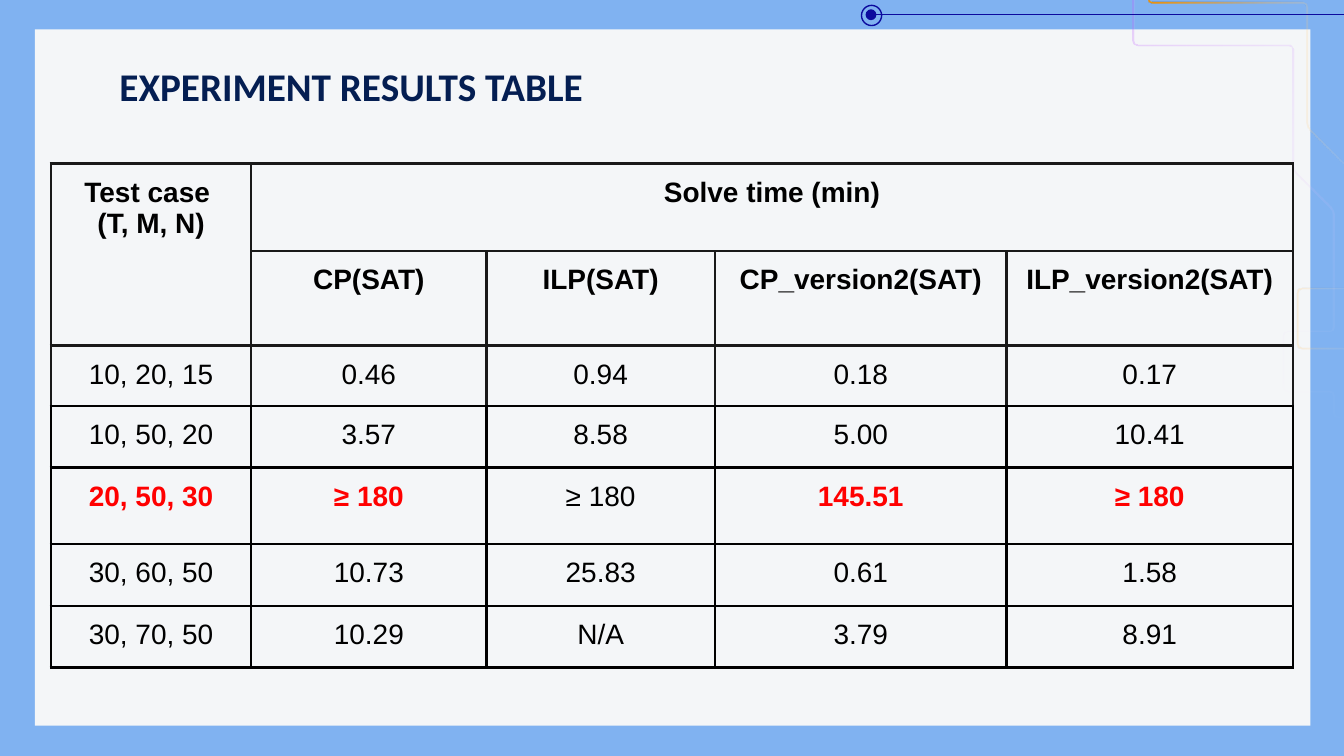
import math
from dataclasses import dataclass

from lxml import etree
from pptx import Presentation
from pptx.dml.color import RGBColor
from pptx.enum.shapes import MSO_CONNECTOR, MSO_SHAPE
from pptx.enum.text import MSO_ANCHOR, PP_ALIGN
from pptx.oxml import parse_xml
from pptx.oxml.ns import qn
from pptx.util import Pt

CENTER, LEFT, TOP = PP_ALIGN.CENTER, PP_ALIGN.LEFT, MSO_ANCHOR.TOP
RECTANGLE, OVAL, STRAIGHT = MSO_SHAPE.RECTANGLE, MSO_SHAPE.OVAL, MSO_CONNECTOR.STRAIGHT
DRAWING = "http://schemas.openxmlformats.org/drawingml/2006/main"


@dataclass(frozen=True)
class Theme:
    backdrop: str = "80B2F1"
    panel: str = "F4F6F8"
    title: str = "041E52"
    accent: str = "0C0A9E"
    text: str = "000000"
    highlight: str = "FF0000"
    header_border: str = "191919"
    body_border: str = "000000"
    title_font: str = "Calibri"
    table_font: str = "Arial"
    title_size: float = 21
    table_size: float = 15
    border: float = 1.5
    hairline: float = 0.75
    inset: float = 7.2


THEME = Theme()

TITLE = "EXPERIMENT RESULTS TABLE"
CORNER_HEADER = "Test case \n(T, M, N)"
GROUP_HEADER = "Solve time (min)"
SOLVERS = ["CP(SAT)", "ILP(SAT)", "CP_version2(SAT)", "ILP_version2(SAT)"]
RESULTS = [
    ["10, 20, 15", "0.46", "0.94", "0.18", "0.17"],
    ["10, 50, 20", "3.57", "8.58", "5.00", "10.41"],
    ["20, 50, 30", "≥ 180", "≥ 180", "145.51", "≥ 180"],
    ["30, 60, 50", "10.73", "25.83", "0.61", "1.58"],
    ["30, 70, 50", "10.29", "N/A", "3.79", "8.91"],
]
HIGHLIGHTED = {(2, 0), (2, 1), (2, 3), (2, 4)}
COLUMN_WIDTHS = [107.3, 126, 122.4, 156.3, 153.3]
ROW_HEIGHTS = [47, 47.6, 31, 33.1, 41, 33.1, 33.1]
HEADER_ROWS = 2

# Corners of the circuit trace, and the traces drawn from it:
# offset, gradient stops (percent, colour, opacity percent), gradient angle
TRACE = [(607.3, -221.8), (607.3, -158), (642.6, -158), (642.6, -46.5),
         (607.3, -46.5), (607.3, 24.1), (692.3, 24.1), (692.3, 90.7),
         (713.9, 112.3), (713.9, 177.1), (687.2, 177.1), (687.2, 209.2),
         (713.9, 209.2), (713.9, 222.8), (727.6, 222.8), (727.6, 227.9),
         (722.5, 227.9)]
TRACES = [
    ((0, 0), [(0, "9900FF", 47), (100, "FFFFFF", 0)], 45),
    ((7.9, -23), [(0, "EB9109", 100), (40, "FF9900", 41), (100, "FFFFFF", 0)], 0),
]
TRACE_WIDTH = 0.9
CORNER_RADIUS = 2.4


def rgb(value):
    return RGBColor.from_string(value)


def write(frame, text, *, font, size, color, bold=False, align=LEFT):
    frame.word_wrap = True
    for index, line in enumerate(text.split("\n")):
        para = frame.paragraphs[0] if index == 0 else frame.add_paragraph()
        para.alignment = align
        span = para.add_run()
        span.text = line
        span.font.name, span.font.size = font, Pt(size)
        span.font.bold, span.font.color.rgb = bold, rgb(color)


def add_preset(page, kind, left, top, width, height, *, fill=None, line=None):
    shape = page.shapes.add_shape(kind, Pt(left), Pt(top), Pt(width), Pt(height))
    shape.shadow.inherit = False
    if fill:
        shape.fill.solid()
        shape.fill.fore_color.rgb = rgb(fill)
    else:
        shape.fill.background()
    if line:
        shape.line.color.rgb = rgb(line)
        shape.line.width = Pt(THEME.hairline)
    else:
        shape.line.fill.background()


def rounded(corners, radius):
    """Replace each inner corner by three points on a curve."""
    points = [corners[0]]
    for before, corner, after in zip(corners, corners[1:], corners[2:]):
        ends = []
        for other in (before, after):
            share = min(0.5, radius / math.dist(corner, other))
            ends.append([c + (o - c) * share for c, o in zip(corner, other)])
        middle = [(a + 2 * c + b) / 4 for a, c, b in zip(ends[0], corner, ends[1])]
        points += [ends[0], middle, ends[1]]
    return points + [corners[-1]]


def ribbon(points, width):
    """Outline of a band of the given width along the points."""
    left, right = [], []
    for index, (x, y) in enumerate(points):
        x1, y1 = points[max(index - 1, 0)]
        x2, y2 = points[min(index + 1, len(points) - 1)]
        length = math.dist((x1, y1), (x2, y2))
        dx, dy = (y1 - y2) / length * width / 2, (x2 - x1) / length * width / 2
        left.append((x + dx, y + dy))
        right.append((x - dx, y - dy))
    return left + right[::-1]


def add_trace(page, offset, stops, angle):
    corners = [(x + offset[0], y + offset[1]) for x, y in TRACE]
    outline = [(round(x * 100), round(y * 100))
               for x, y in ribbon(rounded(corners, CORNER_RADIUS), TRACE_WIDTH)]
    builder = page.shapes.build_freeform(*outline[0], scale=Pt(1) / 100)
    builder.add_line_segments(outline[1:], close=True)
    shape = builder.convert_to_shape()
    shape.shadow.inherit = False
    shape.line.fill.background()
    shape.fill.background()
    stop_xml = "".join(
        f'<a:gs pos="{place * 1000}"><a:srgbClr val="{color}">'
        f'<a:alpha val="{opacity * 1000}"/></a:srgbClr></a:gs>'
        for place, color, opacity in stops)
    gradient = parse_xml(
        f'<a:gradFill xmlns:a="{DRAWING}"><a:gsLst>{stop_xml}</a:gsLst>'
        f'<a:lin ang="{angle * 60000}" scaled="0"/></a:gradFill>')
    properties = shape.element.spPr
    properties.replace(properties.find(qn("a:noFill")), gradient)


def add_pin(page):
    add_preset(page, OVAL, 461.5, 2.9, 10.8, 10.8, line=THEME.accent)
    wire = page.shapes.add_connector(STRAIGHT, Pt(820.8), Pt(7.9), Pt(469.4), Pt(7.9))
    wire.line.color.rgb = rgb(THEME.accent)
    wire.line.width = Pt(THEME.hairline)
    etree.SubElement(wire.element.spPr, qn("a:effectLst"))
    add_preset(page, OVAL, 463.7, 5, 5.8, 5.8, fill=THEME.accent)


def set_borders(cell, colors):
    properties = cell._tc.get_or_add_tcPr()
    for side, color in colors.items():
        properties.append(parse_xml(
            f'<a:ln{side} xmlns:a="{DRAWING}" w="{Pt(THEME.border)}"><a:solidFill>'
            f'<a:srgbClr val="{color}"/></a:solidFill></a:ln{side}>'))


def add_results(page):
    rows = [[CORNER_HEADER, GROUP_HEADER, "", "", ""], ["", *SOLVERS], *RESULTS]
    table = page.shapes.add_table(
        len(rows), len(COLUMN_WIDTHS), Pt(27.3), Pt(87.6),
        Pt(sum(COLUMN_WIDTHS)), Pt(sum(ROW_HEIGHTS))).table
    table.first_row = table.horz_banding = False
    for column, width in zip(table.columns, COLUMN_WIDTHS):
        column.width = Pt(width)
    for row, height in zip(table.rows, ROW_HEIGHTS):
        row.height = Pt(height)
    for r, values in enumerate(rows):
        edge = THEME.header_border if r <= HEADER_ROWS else THEME.body_border
        bottom = THEME.header_border if r < HEADER_ROWS else THEME.body_border
        for c, value in enumerate(values):
            cell = table.cell(r, c)
            marked = (r - HEADER_ROWS, c) in HIGHLIGHTED
            cell.margin_left = cell.margin_right = Pt(THEME.inset)
            cell.margin_top = cell.margin_bottom = Pt(THEME.inset)
            cell.vertical_anchor = TOP
            set_borders(cell, {"L": edge, "R": edge, "T": edge, "B": bottom})
            cell.fill.background()
            if value:
                write(cell.text_frame, value, font=THEME.table_font,
                      size=THEME.table_size, align=CENTER,
                      color=THEME.highlight if marked else THEME.text,
                      bold=marked or r < HEADER_ROWS)
    table.cell(0, 0).merge(table.cell(1, 0))
    table.cell(0, 1).merge(table.cell(0, len(SOLVERS)))


def add_title(page):
    frame = page.shapes.add_textbox(Pt(56.9), Pt(25.9), Pt(308.9), Pt(35.3)).text_frame
    frame.margin_left = frame.margin_right = Pt(THEME.inset)
    frame.margin_top = frame.margin_bottom = Pt(THEME.inset)
    write(frame, TITLE, font=THEME.title_font, size=THEME.title_size,
          color=THEME.title, bold=True)


def main():
    deck = Presentation()
    deck.slide_width, deck.slide_height = Pt(720), Pt(405)
    page = deck.slides.add_slide(deck.slide_layouts[6])
    page.background.fill.solid()
    page.background.fill.fore_color.rgb = rgb(THEME.backdrop)
    add_preset(page, RECTANGLE, 18.7, 15.8, 683.3, 373, fill=THEME.panel)
    for trace in TRACES:
        add_trace(page, *trace)
    add_pin(page)
    add_title(page)
    add_results(page)
    deck.save("out.pptx")


if __name__ == "__main__":
    main()
